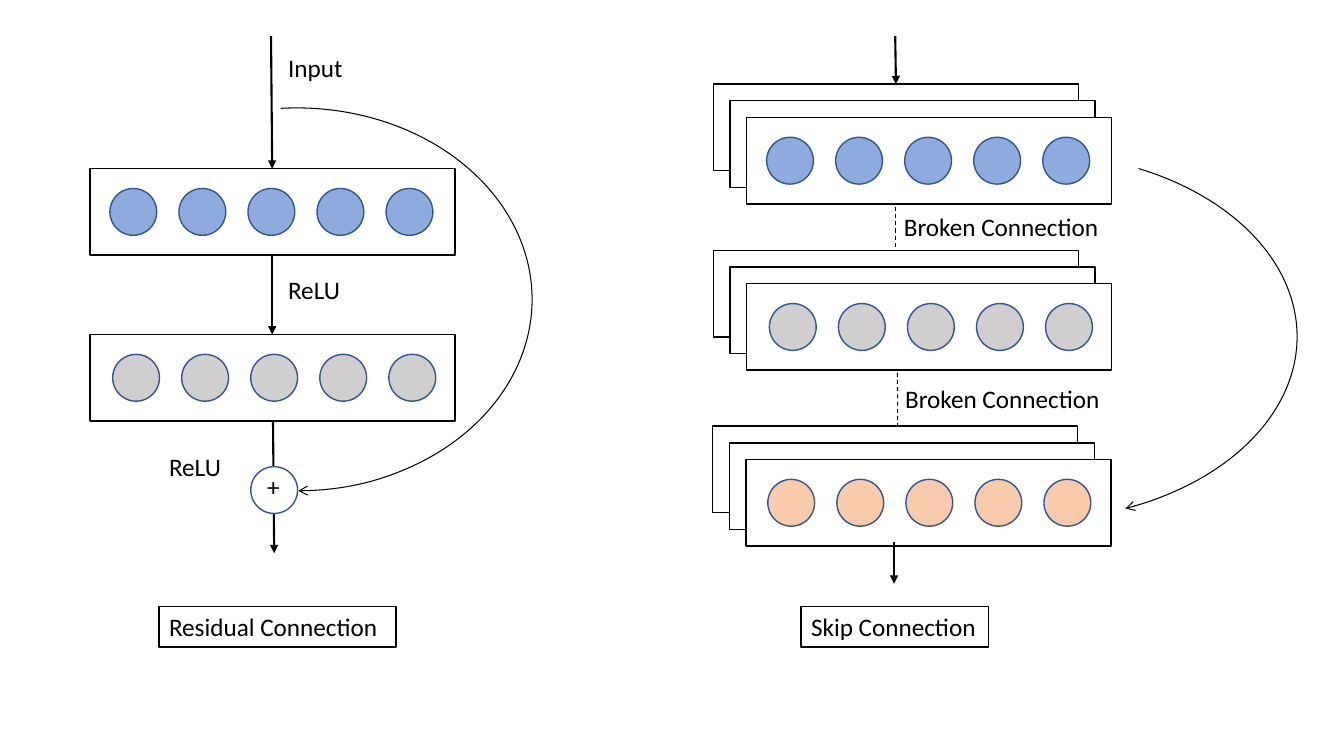
from lxml import etree
from pptx import Presentation
from pptx.dml.color import RGBColor
from pptx.enum.dml import MSO_LINE
from pptx.enum.shapes import MSO_CONNECTOR, MSO_SHAPE
from pptx.enum.text import MSO_AUTO_SIZE
from pptx.oxml.ns import qn
from pptx.util import Cm, Pt

RECT, OVAL, ARC = MSO_SHAPE.RECTANGLE, MSO_SHAPE.OVAL, MSO_SHAPE.ARC
STRAIGHT, DASH = MSO_CONNECTOR.STRAIGHT, MSO_LINE.DASH
GROW, FIXED = MSO_AUTO_SIZE.SHAPE_TO_FIT_TEXT, MSO_AUTO_SIZE.NONE

COLORS = {"black": "000000", "white": "FFFFFF", "outline": "325491",
          "blue": "8FAADC", "grey": "D0CECE", "peach": "F8CBAD"}
FONT = "Calibri"
LAYER_W, LAYER_H = 9.2, 2.18
NODE, NODE_PITCH, NODE_TOP, NODE_COUNT = 1.18, 1.74, 0.5, 5
STACK_STEP, STACK_COUNT = 0.42, 3
TEXT_H = 1.02


def rgb(name):
    return RGBColor.from_string(COLORS[name])


def add_head(s, kind):
    etree.SubElement(s.line._get_or_add_ln(), qn("a:tailEnd"), type=kind)


def add_shape(slide, kind, x, y, w, h, fill=None, line="black", width=1):
    s = slide.shapes.add_shape(kind, Cm(x), Cm(y), Cm(w), Cm(h))
    s.shadow.inherit = False
    if fill:
        s.fill.solid()
        s.fill.fore_color.rgb = rgb(fill)
    else:
        s.fill.background()
    s.line.color.rgb = rgb(line)
    s.line.width = Pt(width)
    return s


def add_text(slide, text, x, y, w, size=18, color="black", boxed=False):
    s = slide.shapes.add_textbox(Cm(x), Cm(y), Cm(w), Cm(TEXT_H))
    tf = s.text_frame
    tf.word_wrap = boxed
    tf.auto_size = FIXED if boxed else GROW
    r = tf.paragraphs[0].add_run()
    r.text = text
    r.font.name, r.font.size = FONT, Pt(size)
    r.font.color.rgb = rgb(color)
    if boxed:
        s.fill.solid()
        s.fill.fore_color.rgb = rgb("white")
        s.line.color.rgb = rgb("black")
        s.line.width = Pt(1)


def add_line(slide, x1, y1, x2, y2, dashed=False):
    s = slide.shapes.add_connector(STRAIGHT, Cm(x1), Cm(y1), Cm(x2), Cm(y2))
    s.line.color.rgb = rgb("black")
    s.line.width = Pt(0.75 if dashed else 1.5)
    if dashed:
        s.line.dash_style = DASH
    else:
        add_head(s, "triangle")
    etree.SubElement(s._element.spPr, qn("a:effectLst"))


def add_arc(slide, x, y, w, h, start, end):
    """Curved arrow; start and end are angles in degrees."""
    s = add_shape(slide, ARC, x, y, w, h, width=0.75)
    # An adjustment of 1 is 100000 units, a degree is 60000
    s.adjustments[0], s.adjustments[1] = start * 0.6, end * 0.6
    add_head(s, "arrow")


def add_node(slide, x, y, fill):
    add_shape(slide, OVAL, x, y, NODE, NODE, fill, "outline")


def add_layer(slide, x, y, fill, inset):
    add_shape(slide, RECT, x, y, LAYER_W, LAYER_H, "white")
    for i in range(NODE_COUNT):
        add_node(slide, x + inset + i * NODE_PITCH, y + NODE_TOP, fill)


def add_stack(slide, x, y, fill, inset):
    for i in range(STACK_COUNT - 1):
        add_shape(slide, RECT, x + i * STACK_STEP, y + i * STACK_STEP,
                  LAYER_W, LAYER_H, "white")
    shift = (STACK_COUNT - 1) * STACK_STEP
    add_layer(slide, x + shift, y + shift, fill, inset)


def add_residual(slide):
    # Layers and flow
    add_layer(slide, 2.27, 4.25, "blue", 0.5)
    add_layer(slide, 2.27, 8.43, "grey", 0.57)
    add_line(slide, 6.83, 0.91, 6.86, 4.25)
    add_line(slide, 6.86, 6.43, 6.86, 8.43)
    add_line(slide, 6.88, 10.62, 6.91, 13.94)
    # Labels
    add_text(slide, "Input", 7.01, 1.19, 1.9)
    add_text(slide, "ReLU", 7.01, 6.78, 1.83)
    add_text(slide, "ReLU", 4.01, 11.25, 1.83)
    # Sum node and bypass
    add_node(slide, 6.32, 11.76, "white")
    add_text(slide, "+", 6.48, 11.76, 0.84)
    add_arc(slide, 1.55, 2.72, 11.86, 9.65, 265.16, 89.56)
    add_text(slide, "Residual Connection", 4.01, 15.29, 5.97, boxed=True)


def add_skip(slide):
    # Broken links run behind the stacks
    add_line(slide, 22.58, 4.3, 22.58, 6.31, dashed=True)
    add_line(slide, 22.61, 8.48, 22.63, 11.81, dashed=True)
    add_stack(slide, 17.98, 2.12, "blue", 0.5)
    add_stack(slide, 17.98, 6.31, "grey", 0.57)
    add_stack(slide, 17.96, 10.74, "peach", 0.55)
    # Flow in and out, and bypass
    add_line(slide, 22.56, 0.91, 22.58, 2.12)
    add_line(slide, 22.53, 13.67, 22.53, 14.71)
    add_arc(slide, 19.35, 3.86, 13.34, 9.25, 302.24, 61.58)
    # Labels
    add_text(slide, "Broken Connection", 22.53, 5.21, 5.46)
    add_text(slide, "Broken Connection", 22.56, 9.53, 5.46)
    add_text(slide, "Skip Connection", 20.19, 15.29, 4.72, boxed=True)


def main():
    prs = Presentation()
    prs.slide_width, prs.slide_height = Cm(33.87), Cm(19.05)
    slide = prs.slides.add_slide(prs.slide_layouts[6])
    add_residual(slide)
    add_skip(slide)
    prs.save("out.pptx")


main()
